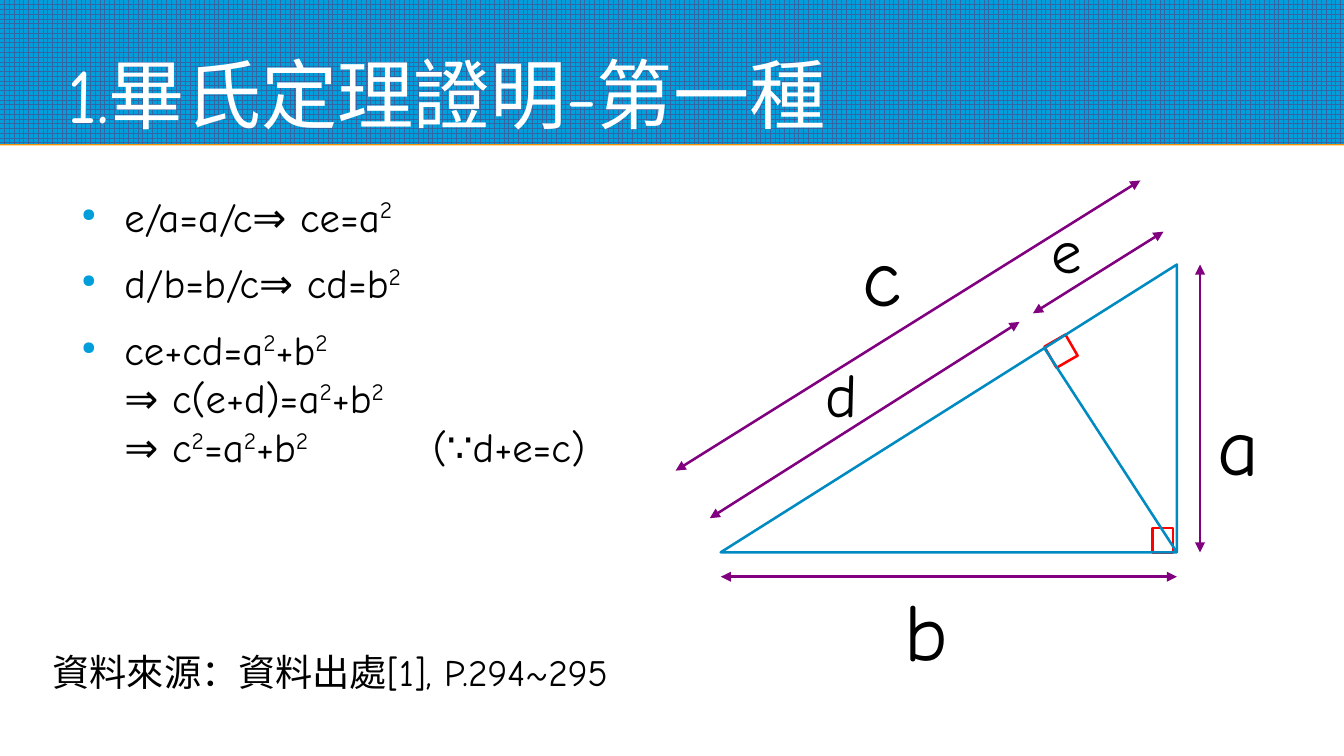
"""Build a slide that proves the Pythagorean theorem with similar triangles."""
from dataclasses import dataclass
from typing import Any

from lxml.etree import SubElement
from pptx import Presentation
from pptx.dml.color import RGBColor
from pptx.enum.dml import MSO_PATTERN
from pptx.enum.shapes import MSO_CONNECTOR, MSO_SHAPE
from pptx.enum.text import MSO_ANCHOR, MSO_AUTO_SIZE, PP_ALIGN
from pptx.oxml.ns import qn
from pptx.util import Emu, Inches, Pt

COLUMNS, ROWS = 110.2, 62
CELL = Inches(0.1)
Point = tuple[float, float]
Box = tuple[float, float, float, float]


@dataclass(frozen=True)
class Theme:
    """Colours, font and type sizes of the slide."""
    font: str = "Comic Neue"
    band: str = "009EDA"
    band_grid: str = "3465A4"
    band_edge: str = "F49100"
    title: str = "FFFFFF"
    text: str = "000000"
    triangle: str = "008AC2"
    right_angle: str = "FF0000"
    dimension: str = "800080"
    title_size: float = 45
    step_size: float = 24
    source_size: float = 22
    side_size: float = 48
    part_size: float = 36
    line_width: float = 1.5


@dataclass(frozen=True)
class Dimension:
    """A measured length: its arrow ends, its letter and the letter's place."""
    letter: str
    size: float
    corner: Point
    start: Point
    end: Point


@dataclass(frozen=True)
class RightAngle:
    """A small square that marks a right angle."""
    box: Box
    rotation: float


THEME = Theme()
LEFT, TOP, RIGHT, BOTTOM = 59.1, 21.7, 96.5, 45.3
FOOT = (85.6, 28.5)
LETTER_SIZE = (14.8, 15.7)
STEPS = (
    "e/a=a/c⇒ ce=a²",
    "d/b=b/c⇒ cd=b²",
    "ce+cd=a²+b²\n⇒ c(e+d)=a²+b²\n⇒ c²=a²+b²\t\t(∵d+e=c)",
)
DIMENSIONS = (
    Dimension("b", THEME.side_size, (73.8, 43.7), (LEFT, 47.3), (RIGHT, 47.3)),
    Dimension("a", THEME.side_size, (99.4, 28.5), (98.4, BOTTOM), (98.4, TOP)),
    Dimension("e", THEME.part_size, (85.8, 12.6), (84.7, 25.7), (95.4, 19)),
    Dimension("d", THEME.part_size, (67.3, 24.4), (58.2, 42.5), (83.6, 26.4)),
    Dimension("c", THEME.side_size, (70.3, 14.6), (55.4, 38.6), (93.5, 14.8)),
)
RIGHT_ANGLES = (
    RightAngle((86, 27.8, 2, 2), 330),
    RightAngle((94.5, 43.3, 1.7, 2), 0),
)


def grid(*cells: float) -> list[Emu]:
    """Turn columns and rows into lengths."""
    return [Emu(round(cell * CELL)) for cell in cells]


def apply(target: Any, formats: dict[str, Any]) -> None:
    """Set each attribute named in the format values."""
    for name, value in formats.items():
        setattr(target, name, value)


def color(value: str) -> RGBColor:
    """Read a hexadecimal colour."""
    return RGBColor.from_string(value)


def add_run(paragraph: Any, text: str, size: float, fill: str = THEME.text) -> Any:
    """Add a run in the slide's font."""
    run = paragraph.add_run()
    run.text = text
    apply(run.font, {"name": THEME.font, "size": Pt(size)})
    run.font.color.rgb = color(fill)
    return run


def format_frame(frame: Any, anchor: MSO_ANCHOR, margin: float) -> None:
    """Give a text frame its wrapping, anchor and equal margins."""
    apply(frame, {"word_wrap": True, "auto_size": MSO_AUTO_SIZE.NONE, "vertical_anchor": anchor})
    apply(frame, {f"margin_{side}": Inches(margin) for side in ("left", "top", "right", "bottom")})


def add_text(slide: Any, box: Box, text: str, size: float) -> None:
    """Add one line of vertically centred text."""
    frame = slide.shapes.add_textbox(*grid(*box)).text_frame
    format_frame(frame, MSO_ANCHOR.MIDDLE, 0.04)
    add_run(frame.paragraphs[0], text, size)


def format_outline(shape: Any, line_color: str) -> None:
    """Leave a shape unfilled with a plain coloured outline."""
    shape.shadow.inherit = False
    shape.fill.background()
    shape.line.color.rgb = color(line_color)
    shape.line.width = Pt(THEME.line_width)


def add_line(slide: Any, start: Point, end: Point, line_color: str, arrows: bool = False) -> None:
    """Add a straight line, with arrowheads at both ends on request."""
    connector = slide.shapes.add_connector(MSO_CONNECTOR.STRAIGHT, *grid(*start, *end))
    connector.line.color.rgb = color(line_color)
    connector.line.width = Pt(THEME.line_width)
    properties = connector._element.spPr
    for end_tag in ("a:headEnd", "a:tailEnd") if arrows else ():
        SubElement(properties.find(qn("a:ln")), qn(end_tag), type="triangle")
    SubElement(properties, qn("a:effectLst"))


def add_header(slide: Any) -> None:
    """Add the patterned band and set the title on it."""
    band = slide.shapes.add_shape(MSO_SHAPE.RECTANGLE, *grid(0, 0, COLUMNS, 11.8))
    band.line.fill.background()
    band.fill.patterned()
    band.fill.pattern = MSO_PATTERN.LARGE_GRID
    band.fill.fore_color.rgb = color(THEME.band_grid)
    band.fill.back_color.rgb = color(THEME.band)
    band.shadow.inherit = False
    effects = band._element.spPr.find(qn("a:effectLst"))
    shadow = SubElement(effects, qn("a:outerShdw"), blurRad="0", dist=str(Pt(0.9)),
                        dir="5400000", algn="ctr", rotWithShape="0")
    SubElement(shadow, qn("a:srgbClr"), val=THEME.band_edge)
    title = slide.shapes.title
    title._element.addprevious(band._element)
    apply(title, dict(zip(("left", "top", "width", "height"), grid(5.5, 1, 99.2, 10.4))))
    format_frame(title.text_frame, MSO_ANCHOR.BOTTOM, 0)
    paragraph = title.text_frame.paragraphs[0]
    paragraph.alignment = PP_ALIGN.LEFT
    add_run(paragraph, "1.畢氏定理證明-第一種", THEME.title_size, THEME.title)


def format_bullet(paragraph: Any) -> None:
    """Give a paragraph its hanging indent, spacing and bullet."""
    paragraph.space_after = Pt(10.5)
    properties = paragraph._p.get_or_add_pPr()
    for name, inches in {"marL": 0.47, "indent": -0.35, "defTabSz": 1}.items():
        properties.set(name, str(Inches(inches)))
    SubElement(SubElement(properties, qn("a:buClr")), qn("a:srgbClr"), val=THEME.band)
    SubElement(properties, qn("a:buSzPct"), val="45000")
    SubElement(properties, qn("a:buChar"), char="●")


def add_steps(slide: Any) -> None:
    """Add the bulleted steps, with each ² set as a raised 2."""
    frame = slide.shapes.add_textbox(*grid(5.5, 15.7, 47.6, 38.3)).text_frame
    format_frame(frame, MSO_ANCHOR.TOP, 0)
    for step_number, step in enumerate(STEPS):
        paragraph = frame.add_paragraph() if step_number else frame.paragraphs[0]
        format_bullet(paragraph)
        for line_number, line in enumerate(step.split("\n")):
            if line_number:
                paragraph.add_line_break()
            for part_number, part in enumerate(line.split("²")):
                if part_number:
                    power = add_run(paragraph, "2", THEME.step_size)
                    power.font._element.set("baseline", "33000")
                if part:
                    add_run(paragraph, part, THEME.step_size)


def add_triangle(slide: Any) -> None:
    """Draw the right triangle, its altitude, right angles and dimensions."""
    for mark in RIGHT_ANGLES:
        square = slide.shapes.add_shape(MSO_SHAPE.RECTANGLE, *grid(*mark.box))
        square.rotation = mark.rotation
        format_outline(square, THEME.right_angle)
    builder = slide.shapes.build_freeform(*grid(RIGHT, TOP))
    builder.add_line_segments([grid(LEFT, BOTTOM), grid(RIGHT, BOTTOM)], close=True)
    format_outline(builder.convert_to_shape(), THEME.triangle)
    add_line(slide, (RIGHT, BOTTOM), FOOT, THEME.triangle)
    for dimension in DIMENSIONS:
        add_line(slide, dimension.start, dimension.end, THEME.dimension, arrows=True)
        add_text(slide, (*dimension.corner, *LETTER_SIZE), dimension.letter, dimension.size)


def main() -> None:
    """Build and save the presentation."""
    presentation = Presentation()
    width, height = grid(COLUMNS, ROWS)
    apply(presentation, {"slide_width": width, "slide_height": height})
    slide = presentation.slides.add_slide(presentation.slide_layouts.get_by_name("Title Only"))
    add_header(slide)
    add_steps(slide)
    add_triangle(slide)
    add_text(slide, (3.9, 52.6, 61, 5), "資料來源：資料出處[1], P.294~295", THEME.source_size)
    presentation.save("out.pptx")


if __name__ == "__main__":
    main()
